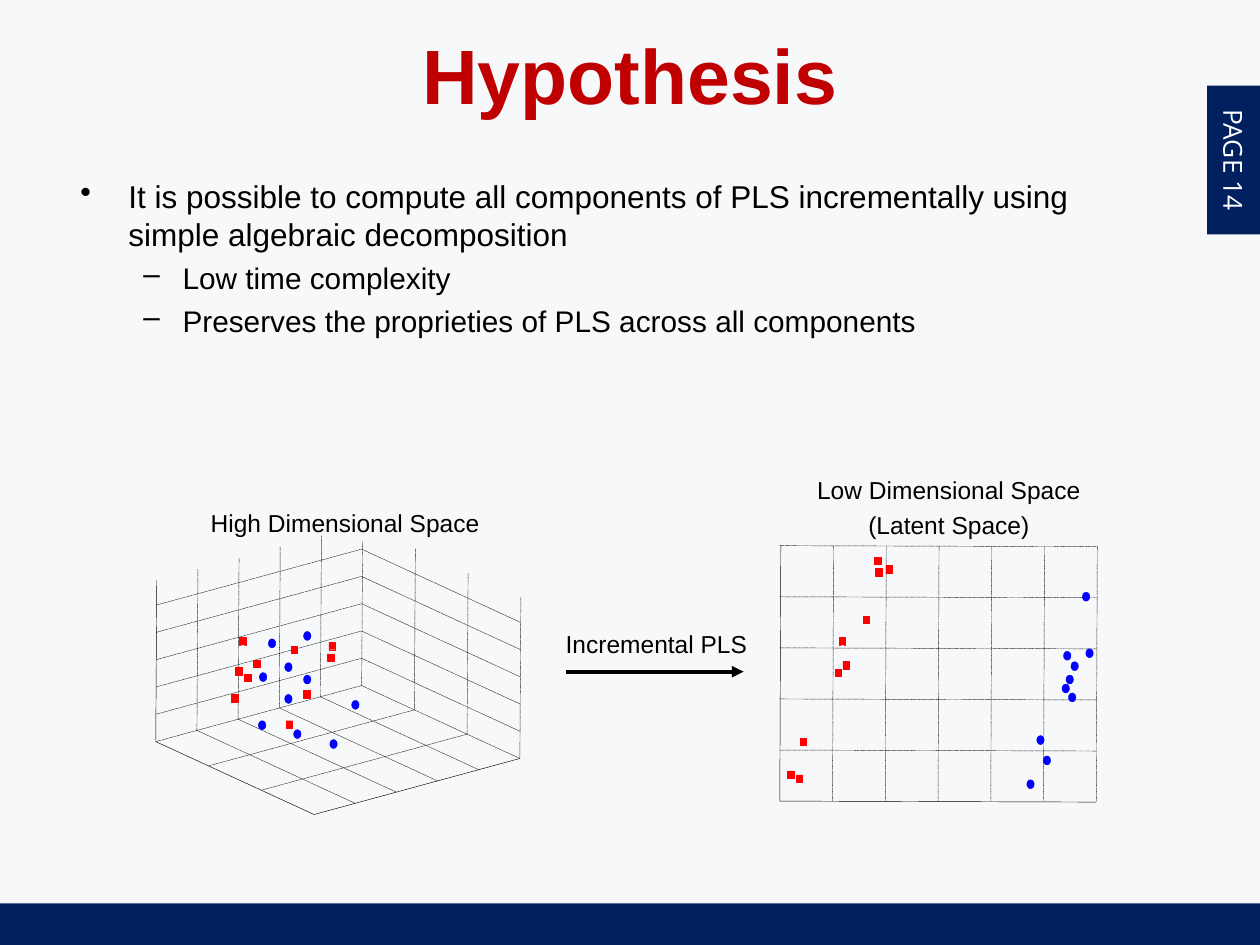
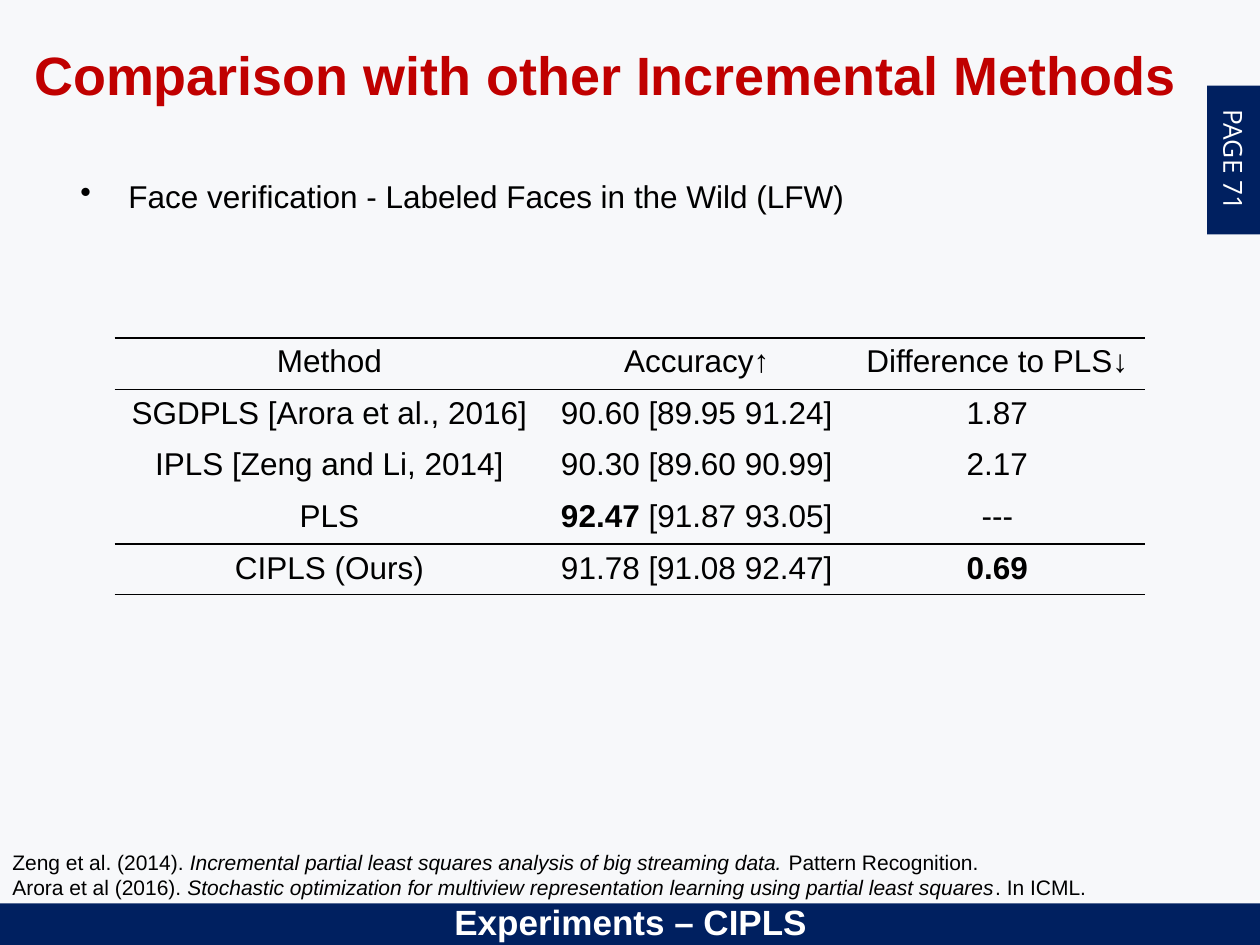
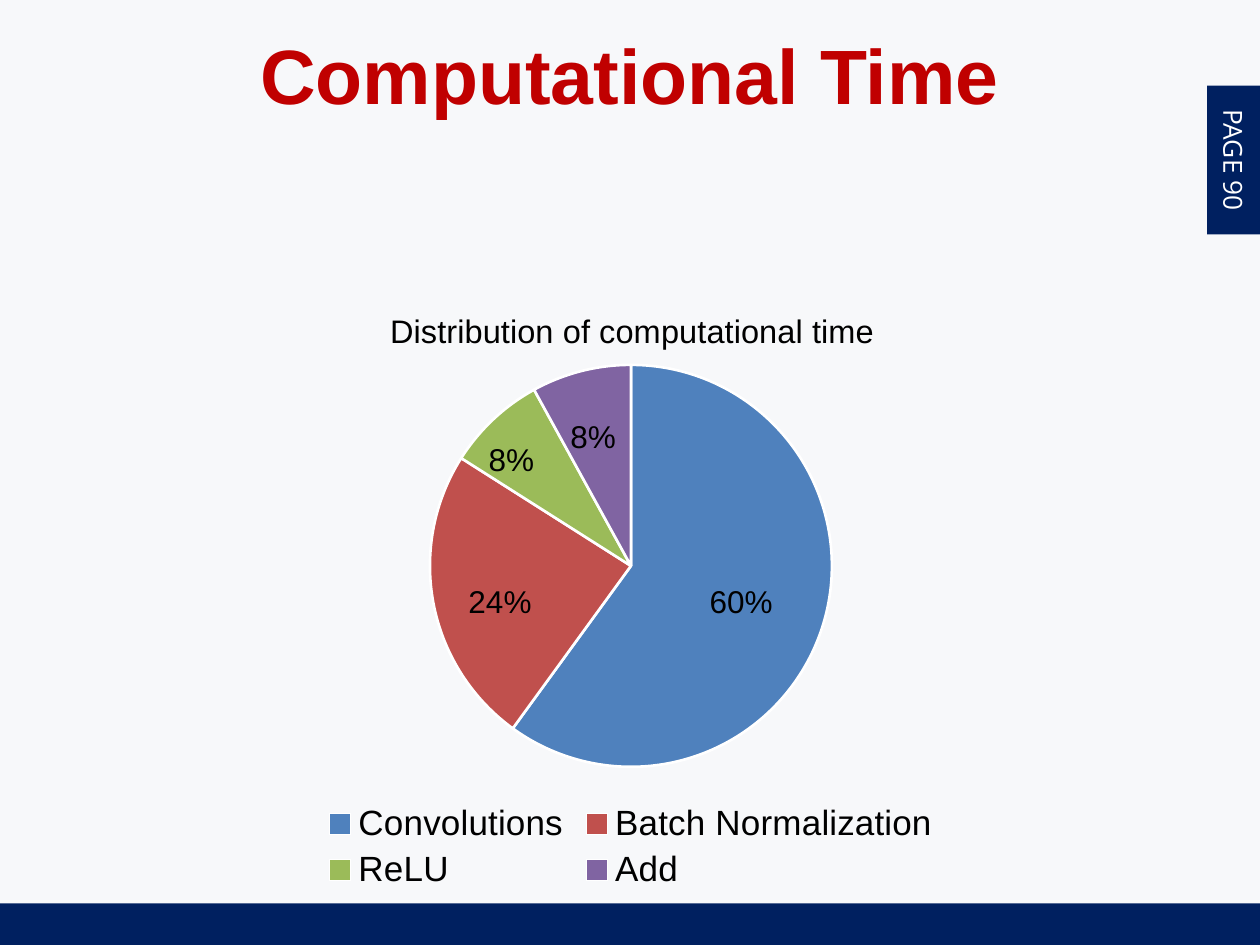
"""Builds three slides on incremental partial least squares."""
from lxml import etree
from pptx import Presentation
from pptx.chart.data import CategoryChartData
from pptx.dml.color import RGBColor
from pptx.enum.chart import XL_CHART_TYPE, XL_LEGEND_POSITION
from pptx.enum.dml import MSO_LINE
from pptx.enum.shapes import MSO_CONNECTOR, MSO_SHAPE
from pptx.enum.text import MSO_ANCHOR, PP_ALIGN
from pptx.oxml import parse_xml
from pptx.oxml.ns import nsdecls, qn
from pptx.util import Cm, Pt

PAPER, NAVY, TITLE = "F7F8FA", "002060", "C00000"
BLACK, WHITE, RED, BLUE = "000000", "FFFFFF", "FF0000", "0000FF"
SLICES = ["4F81BD", "C0504D", "9BBB59", "8064A2"]
FONT, TAG = "Arial", "Open Sans"
NOSTYLE = "{2D5ABB26-0587-4C30-8999-92F81FD0307C}"
LEAN = 0.02

HIGHRED = [(4.83, 12.85), (4.93, 13.59), (6.63, 12.95), (6.6, 13.18), (6.12, 13.92),
           (5.77, 14.53), (5.87, 13.03), (4.75, 13.46), (4.67, 14), (5.11, 13.31)]
HIGHBLUE = [(5.21, 14.53), (5.92, 14.71), (6.65, 14.91), (6.12, 13.61), (7.09, 14.12),
            (5.23, 13.56), (5.74, 14), (6.12, 12.73), (5.74, 13.36), (5.41, 12.88)]
LOWRED = [(16.05, 15.62), (15.88, 15.54), (16.13, 14.88), (16.84, 13.49), (16.99, 13.34),
          (16.92, 12.85), (17.4, 12.42), (17.86, 11.4), (17.65, 11.46), (17.63, 11.23)]
LOWBLUE = [(21.41, 13.79), (21.03, 15.24), (20.7, 15.72), (20.9, 14.83), (21.54, 13.97),
           (21.49, 13.61), (21.59, 13.34), (21.44, 13.13), (21.89, 13.08), (21.82, 11.94)]
ROWS = [("Method", "Accuracy↑", "Difference to PLS↓"),
        ("SGDPLS [Arora et al., 2016]", "90.60 [89.95 91.24]", "1.87"),
        ("IPLS [Zeng and Li, 2014]", "90.30 [89.60 90.99]", "2.17"),
        ("PLS", [("92.47 ", "b"), ("[91.87 93.05]", "")], "---"),
        ("CIPLS (Ours)", "91.78 [91.08 92.47]", [("0.69", "b")])]
REFS = [[("Zeng et al. (2014). ", ""),
         ("Incremental partial least squares analysis of big streaming data.", "i"),
         (" Pattern Recognition.", "")],
        [("Arora et al (2016). ", ""),
         ("Stochastic optimization for multiview representation learning"
          " using partial least squares", "i"), (". In ICML.", "")]]


def hue(code):
    """Turn a hex string into a colour."""
    return RGBColor.from_string(code)


def style(font, size, color=BLACK, bold=False, name=FONT):
    """Set the look of a font."""
    font.name, font.size, font.bold = name, Pt(size), bold
    font.color.rgb = hue(color)


def write(para, text, size, align=PP_ALIGN.CENTER, **look):
    """Fill a paragraph with a string or with marked runs."""
    para.alignment = align
    style(para.font, size, **look)
    if isinstance(text, str):
        para.add_run().text = text
        return
    for part, mark in text:
        run = para.add_run()
        run.text = part
        if mark == "b":
            run.font.bold = True
        if mark == "i":
            run.font.italic = True


def label(slide, box, texts, size, align=PP_ALIGN.CENTER, anchor=MSO_ANCHOR.TOP,
          gap=0, **look):
    """Add a wrapped text box with one paragraph per text."""
    frame = slide.shapes.add_textbox(*map(Cm, box)).text_frame
    frame.word_wrap, frame.vertical_anchor = True, anchor
    for n, text in enumerate(texts):
        para = frame.add_paragraph() if n else frame.paragraphs[0]
        if n and gap:
            para.space_before = Pt(gap)
        write(para, text, size, align, **look)


def points(slide, box, items):
    """Add a bullet list of (level, text) items."""
    frame = slide.shapes.add_textbox(*map(Cm, box)).text_frame
    frame.word_wrap = True
    for n, (level, text) in enumerate(items):
        para = frame.add_paragraph() if n else frame.paragraphs[0]
        mark, left, hang, size = [("•", 0.97, 0.97, 18), ("–", 2.06, 0.79, 17)][level]
        para.level = level
        props = para._p.get_or_add_pPr()
        props.set("marL", str(Cm(left)))
        props.set("indent", str(-Cm(hang)))
        etree.SubElement(props, qn("a:buChar")).set("char", mark)
        if n:
            para.space_before = Pt(4)
        write(para, text, size, PP_ALIGN.LEFT)


def block(slide, kind, box, color, edge=0):
    """Add a filled preset shape."""
    shape = slide.shapes.add_shape(kind, *map(Cm, box))
    shape.shadow.inherit = False
    shape.fill.solid()
    shape.fill.fore_color.rgb = hue(color)
    if edge:
        shape.line.color.rgb = hue(color)
        shape.line.width = Pt(edge)
    else:
        shape.line.fill.background()
    return shape


def line(slide, start, end, width=0.25, dots=True, arrow=False):
    """Draw a black line between two points."""
    wire = slide.shapes.add_connector(MSO_CONNECTOR.STRAIGHT, *map(Cm, (*start, *end)))
    wire.line.color.rgb = hue(BLACK)
    wire.line.width = Pt(width)
    if dots:
        wire.line.dash_style = MSO_LINE.ROUND_DOT
    if arrow:
        etree.SubElement(wire.line._get_or_add_ln(), qn("a:tailEnd")).set("type", "triangle")
    etree.SubElement(wire._element.spPr, qn("a:effectLst"))


def dots(slide, reds, blues):
    """Scatter red squares and blue discs."""
    for x, y in reds:
        block(slide, MSO_SHAPE.RECTANGLE, (x, y, 0.13, 0.15), RED, 0.25)
    for x, y in blues:
        block(slide, MSO_SHAPE.OVAL, (x, y, 0.15, 0.18), BLUE, 0.25)


def cube(slide):
    """Draw the floor and the two walls of the open cube."""
    back, left, right = (7.29, 13.82), (-4.15, 1.13), (3.19, 1.47)
    high, tier = 3.25, 0.55

    def move(spot, way, part=1.0):
        """Shift a point along a vector."""
        return spot[0] + way[0] * part, spot[1] + way[1] * part

    for way, other, count in ((left, right, 5), (right, left, 3)):
        for n in range(count + 1):
            foot = move(back, way, n / count)
            line(slide, foot, move(foot, other), dots=n < count)
            if n:
                solid = way is left and n == count
                line(slide, foot, move(foot, (LEAN, -high)), dots=not solid)
        for n in range(1, 6):
            start = move(back, (0, -tier), n)
            line(slide, start, move(start, way))
    line(slide, back, move(back, (LEAN, -2.9)))


def grid(slide):
    """Draw the flat grid, solid at the left and the bottom."""
    left, top, wide, high, cols, rows = 15.72, 11, 6.38, 5.15, 6, 5
    for n in range(cols + 1):
        x = left + wide * n / cols
        line(slide, (x, top + high), (x + LEAN, top), dots=n > 0)
    for n in range(rows + 1):
        y = top + high * n / rows
        line(slide, (left, y), (left + wide, y + LEAN), dots=n < rows)


def rule(cell, side):
    """Draw a thin black border on one side of a cell."""
    cell._tc.get_or_add_tcPr().insert(0, parse_xml(
        f'<a:{side} {nsdecls("a")} w="12700"><a:solidFill><a:srgbClr val="{BLACK}"/>'
        f'</a:solidFill></a:{side}>'))


def table(slide):
    """Add the table of methods."""
    widths = (8.66, 6.15, 5.97)
    grid = slide.shapes.add_table(len(ROWS), len(widths), Cm(2.31), Cm(6.81),
                                  Cm(sum(widths)), Cm(5.13)).table
    grid.first_row = grid.horz_banding = False
    grid._tbl.tblPr.find(qn("a:tableStyleId")).text = NOSTYLE
    for col, width in zip(grid.columns, widths):
        col.width = Cm(width)
    for r, texts in enumerate(ROWS):
        grid.rows[r].height = Cm(1.04 if r < 4 else 0.97)
        for c, text in enumerate(texts):
            cell = grid.cell(r, c)
            cell.fill.background()
            write(cell.text_frame.paragraphs[0], text, 18)
            if r in (0, 3, 4):
                rule(cell, "lnB")
            if r == 0:
                rule(cell, "lnT")


def place(x, y, size=None):
    """Make a manual chart layout, with a size for the plot."""
    items = [("xMode", "edge"), ("yMode", "edge"), ("x", x), ("y", y)]
    if size:
        items = [("layoutTarget", "inner"), *items, ("w", size[0]), ("h", size[1])]
    body = "".join(f'<c:{key} val="{val}"/>' for key, val in items)
    return parse_xml(f'<c:layout {nsdecls("c")}><c:manualLayout>{body}'
                     '</c:manualLayout></c:layout>')


def pie(slide):
    """Add the pie chart of computational time."""
    data = CategoryChartData()
    data.categories = ["Convolutions", "Batch Normalization", "ReLU", "Add"]
    data.add_series("Series 1", (60, 24, 8, 8))
    chart = slide.shapes.add_chart(XL_CHART_TYPE.PIE, Cm(3.51), Cm(5.61), Cm(18.42),
                                   Cm(12.47), data).chart
    style(chart.font, 10)
    chart.has_title = True
    write(chart.chart_title.text_frame.paragraphs[0],
          "Distribution of computational time", 18.6)
    title = chart.chart_title._element
    for old in title.findall(qn("c:layout")):
        title.remove(old)
    title.find(qn("c:tx")).addnext(place(0.23, 0.04))
    area = chart._chartSpace.chart.plotArea
    for old in area.findall(qn("c:layout")):
        area.remove(old)
    area.insert(0, place(0.28, 0.14, (0.44, 0.65)))
    chart.has_legend = True
    chart.legend.position = XL_LEGEND_POSITION.BOTTOM
    chart.legend.include_in_layout = False
    style(chart.legend.font, 20)
    plot = chart.plots[0]
    plot.vary_by_categories = True
    for n, color in enumerate(SLICES):
        form = plot.series[0].points[n].format
        form.fill.solid()
        form.fill.fore_color.rgb = hue(color)
        form.line.color.rgb = hue(WHITE)
        form.line.width = Pt(1.5)


def begin(deck, text, page, box=(1.27, 0.3, 22.86, 2.39), size=44):
    """Start a slide with its title, band and page tag."""
    slide = deck.slides.add_slide(deck.slide_layouts[5])
    slide.background.fill.solid()
    slide.background.fill.fore_color.rgb = hue(PAPER)
    block(slide, MSO_SHAPE.RECTANGLE, (0, 18.21, 25.4, 0.86), NAVY)
    tag = block(slide, MSO_SHAPE.RECTANGLE, (23.37, 2.69, 3, 1.07), NAVY)
    tag.rotation = 90
    tag.text_frame.vertical_anchor = MSO_ANCHOR.MIDDLE
    write(tag.text_frame.paragraphs[0], f"PAGE {page}", 15, color=WHITE, name=TAG)
    title = slide.shapes.title
    title.left, title.top, title.width, title.height = map(Cm, box)
    title.text_frame.vertical_anchor = MSO_ANCHOR.MIDDLE
    write(title.text_frame.paragraphs[0], text, size, color=TITLE, bold=True)
    return slide


def idea(deck):
    """Build the hypothesis slide."""
    slide = begin(deck, "Hypothesis", 14)
    points(slide, (1.37, 3.45, 22.3, 5), [
        (0, "It is possible to compute all components of PLS incrementally using"
            " simple algebraic decomposition"),
        (1, "Low time complexity"),
        (1, "Preserves the proprieties of PLS across all components")])
    cube(slide)
    dots(slide, HIGHRED, HIGHBLUE)
    grid(slide)
    dots(slide, LOWRED, LOWBLUE)
    line(slide, (11.4, 13.54), (14.99, 13.54), 2.25, dots=False, arrow=True)
    label(slide, (10.9, 12.6, 4.67, 0.76), ["Incremental PLS"], 14,
          anchor=MSO_ANCHOR.MIDDLE)
    label(slide, (3.81, 10.11, 6.3, 0.91), ["High Dimensional Space"], 14)
    label(slide, (15.98, 9.45, 6.3, 1.6),
          ["Low Dimensional Space", "(Latent Space)"], 14, gap=3)


def rivals(deck):
    """Build the slide that compares methods."""
    slide = begin(deck, "Comparison with other Incremental Methods", 71,
                  (0.28, 0.3, 23.85, 2.39), 30.8)
    points(slide, (1.37, 3.45, 22.76, 2.92),
           [(0, "Face verification - Labeled Faces in the Wild (LFW)")])
    table(slide)
    label(slide, (4.93, 18.03, 15.57, 0.91), ["Experiments – CIPLS"], 20,
          color=WHITE, bold=True)
    label(slide, (0, 17, 23.34, 1.26), REFS, 12, PP_ALIGN.LEFT, MSO_ANCHOR.MIDDLE)


def cost(deck):
    """Build the computational time slide."""
    slide = begin(deck, "Computational Time", 90)
    pie(slide)
    for x, y, text in [(9.37, 8.79, "8%"), (11.02, 8.33, "8%"),
                       (9.14, 11.66, "24%"), (14, 11.66, "60%")]:
        label(slide, (x, y, 1.88, 0.91), [text], 18, anchor=MSO_ANCHOR.MIDDLE)


def main():
    """Build and save the deck."""
    deck = Presentation()
    deck.slide_width, deck.slide_height = Cm(25.4), Cm(19.05)
    for make in (idea, rivals, cost):
        make(deck)
    deck.save("out.pptx")


if __name__ == "__main__":
    main()
